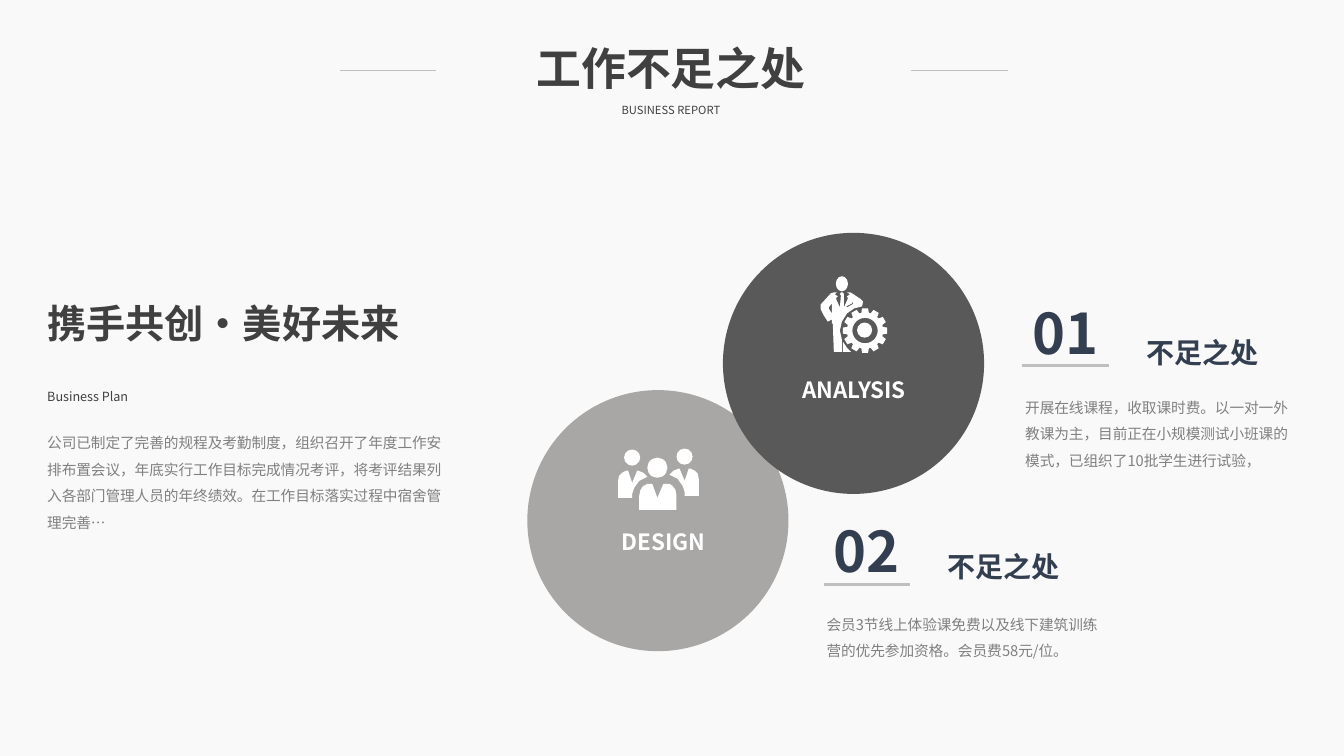
from math import cos, pi, sin

from lxml.etree import SubElement
from pptx import Presentation
from pptx.dml.color import RGBColor
from pptx.enum.shapes import MSO_CONNECTOR, MSO_SHAPE
from pptx.enum.text import MSO_AUTO_SIZE, PP_ALIGN
from pptx.oxml.ns import qn
from pptx.util import Inches, Pt

FONT = "Noto Sans CJK SC"
WHITE, DARK, NAVY, GRAY, RULE = "FFFFFF", "404040", "333F50", "808080", "BFBFBF"
CIRCLE_SIZE = 2.59
CIRCLES = [
    (5.23, 3.87, "A8A7A5", "DESIGN", (6.04, 5.19, 1.08, 0.37)),
    (7.17, 2.31, "595959", "ANALYSIS", (7.8, 3.68, 1.34, 0.37)),
]
HEADINGS = [
    ("BUSINESS REPORT", (5.86, 0.98, 1.59, 0.24), 8, False),
    ("工作不足之处", (4.6, 0.35, 4.11, 0.64), 32, True),
]
TITLE_RULES = [(3.37, 4.32), (9.04, 10)]
INTRO = "公司已制定了完善的规程及考勤制度，组织召开了年度工作安排布置会议，年底实行工作目标完成情况考评，将考评结果列入各部门管理人员的年终绩效。在工作目标落实过程中宿舍管理完善…"
SHORTCOMINGS = [
    ("01", 10.14, 2.91, 3.28, 3.82, 0.9,
     "开展在线课程，收取课时费。以一对一外教课为主，目前正在小规模测试小班课的模式，已组织了10批学生进行试验，"),
    ("02", 8.17, 5.08, 5.4, 5.97, 0.63,
     "会员3节线上体验课免费以及线下建筑训练营的优先参加资格。会员费58元/位。"),
]

SIDE_BUST = [(6.33, 4.67), (6.32, 4.67), (6.27, 4.79), (6.23, 4.67), (6.21, 4.67),
             (6.17, 4.69), (6.14, 4.72), (6.13, 4.77), (6.13, 4.94), (6.27, 4.94),
             (6.27, 4.9), (6.29, 4.84), (6.34, 4.77), (6.42, 4.73), (6.38, 4.69)]
FRONT_BUST = [(6.64, 4.8), (6.58, 4.8), (6.52, 4.94), (6.47, 4.8), (6.42, 4.8),
              (6.37, 4.83), (6.35, 4.87), (6.34, 4.92), (6.34, 5.06), (6.71, 5.06),
              (6.71, 4.92), (6.7, 4.86), (6.67, 4.82)]
TEAM_HEADS = [(6.19, 4.46, 0.16, 0.16), (6.71, 4.45, 0.16, 0.16), (6.42, 4.54, 0.2, 0.2)]
SUIT = [
    [(8.55, 3.04), (8.56, 2.99), (8.54, 2.97), (8.45, 2.91), (8.43, 2.9), (8.4, 2.9),
     (8.43, 2.92), (8.4, 2.94), (8.41, 2.96), (8.37, 3.05), (8.37, 2.92), (8.36, 2.9),
     (8.34, 2.9), (8.33, 2.92), (8.34, 2.93), (8.33, 3.05), (8.29, 2.96), (8.31, 2.94),
     (8.28, 2.92), (8.3, 2.9), (8.27, 2.9), (8.24, 2.91), (8.14, 3.02), (8.14, 3.07),
     (8.17, 3.13), (8.21, 3.19), (8.25, 3.17), (8.25, 3.21), (8.26, 3.21), (8.27, 3.49),
     (8.35, 3.49), (8.35, 3.37), (8.33, 3.28), (8.35, 3.19), (8.4, 3.11), (8.47, 3.06)],
    [(8.45, 3.01), (8.45, 2.99), (8.46, 3.01), (8.47, 3.01), (8.4, 3.05), (8.39, 3.04)],
    [(8.25, 3.11), (8.22, 3.06), (8.22, 3.05), (8.25, 3.01)],
]
LEG = [(8.36, 3.39), (8.36, 3.49), (8.44, 3.49), (8.4, 3.45)]
MANAGER_HEAD = (8.29, 2.74, 0.12, 0.15)
GEAR_CENTER = (8.58, 3.28)
TOOTH = [(-0.03, -0.22), (0.03, -0.22), (0.04, -0.16), (-0.04, -0.16)]
TOOTH_COUNT = 12


def color(value):
    return RGBColor.from_string(value)


def paint(shape, fill):
    shape.shadow.inherit = False
    shape.fill.solid()
    shape.fill.fore_color.rgb = color(fill)
    shape.line.fill.background()
    return shape


def add_text(shapes, text, box, size=10.5, fill=GRAY, bold=False,
             align=PP_ALIGN.LEFT, spacing=None, wrap=True):
    frame = shapes.add_textbox(*map(Inches, box)).text_frame
    frame.word_wrap = wrap
    frame.auto_size = MSO_AUTO_SIZE.SHAPE_TO_FIT_TEXT
    paragraph = frame.paragraphs[0]
    paragraph.alignment = align
    paragraph.line_spacing = spacing
    run = paragraph.add_run()
    run.text = text
    run.font.name, run.font.size, run.font.bold = FONT, Pt(size), bold
    run.font.color.rgb = color(fill)
    SubElement(run.font._element, qn("a:ea")).set("typeface", FONT)


def add_rule(shapes, left, right, top, width):
    line = shapes.add_connector(
        MSO_CONNECTOR.STRAIGHT, Inches(left), Inches(top), Inches(right), Inches(top))
    line.line.color.rgb = color(RULE)
    line.line.width = Pt(width)
    SubElement(line._element.spPr, qn("a:effectLst"))


def add_round(shapes, box, fill=WHITE, kind=MSO_SHAPE.OVAL):
    return paint(shapes.add_shape(kind, *map(Inches, box)), fill)


def add_outline(shapes, *contours):
    paths = [[(Inches(x), Inches(y)) for x, y in contour] for contour in contours]
    builder = shapes.build_freeform(*paths[0][0])
    for index, path in enumerate(paths):
        if index:
            builder.move_to(*path[0])
        builder.add_line_segments(path[1:], close=True)
    paint(builder.convert_to_shape(), WHITE)


def add_team_icon(shapes):
    mirrored = [(13.06 - x, y - 0.02) for x, y in SIDE_BUST]
    for bust in (SIDE_BUST, mirrored, FRONT_BUST):
        add_outline(shapes, bust)
    for head in TEAM_HEADS:
        add_round(shapes, head)


def add_manager_icon(shapes):
    add_round(shapes, MANAGER_HEAD)
    add_outline(shapes, *SUIT)
    add_outline(shapes, LEG)
    center_x, center_y = GEAR_CENTER
    for index in range(TOOTH_COUNT):
        angle = 2 * pi * index / TOOTH_COUNT
        add_outline(shapes, [(center_x + x * cos(angle) - y * sin(angle),
                              center_y + x * sin(angle) + y * cos(angle)) for x, y in TOOTH])
    ring = add_round(shapes, (center_x - 0.18, center_y - 0.18, 0.36, 0.36),
                     kind=MSO_SHAPE.DONUT)
    ring.adjustments[0] = 0.15
    add_round(shapes, (center_x - 0.08, center_y - 0.08, 0.15, 0.15))


def main():
    """Build the slide on shortcomings at work."""
    presentation = Presentation()
    presentation.slide_width, presentation.slide_height = Inches(13.33), Inches(7.5)
    slide = presentation.slides.add_slide(presentation.slide_layouts[6])
    slide.background.fill.solid()
    slide.background.fill.fore_color.rgb = color("FAF9F9")
    shapes = slide.shapes

    for left, top, fill, label, box in CIRCLES:
        add_round(shapes, (left, top, CIRCLE_SIZE, CIRCLE_SIZE), fill)
        add_text(shapes, label, box, size=16, fill=WHITE, bold=True,
                 align=PP_ALIGN.CENTER, wrap=False)

    add_text(shapes, INTRO, (0.37, 4.17, 4.14, 1.16), spacing=1.5)
    add_text(shapes, "Business Plan", (0.37, 3.73, 2.55, 0.3), size=9, fill=DARK, spacing=1.5)
    add_text(shapes, "携手共创·美好未来", (0.37, 2.92, 4.48, 0.57), size=28, fill=DARK, bold=True)

    for number, left, top, name_top, body_top, body_height, body in SHORTCOMINGS:
        add_text(shapes, number, (left, top, 0.93, 0.77), size=40, fill=NAVY,
                 bold=True, wrap=False)
        add_rule(shapes, left, left + 0.86, top + 0.72, 2)
        add_text(shapes, "不足之处", (left + 1.13, name_top, 2.07, 0.44), size=20,
                 fill=NAVY, bold=True)
        add_text(shapes, body, (left - 0.07, body_top, 2.9, body_height), spacing=1.5)

    for text, box, size, bold in HEADINGS:
        add_text(shapes, text, box, size=size, fill=DARK, bold=bold, align=PP_ALIGN.CENTER)
    title_rules = shapes.add_group_shape().shapes
    for left, right in TITLE_RULES:
        add_rule(title_rules, left, right, 0.7, 0.75)

    add_team_icon(shapes.add_group_shape().shapes)
    add_manager_icon(shapes.add_group_shape().shapes)
    presentation.save("out.pptx")


if __name__ == "__main__":
    main()
